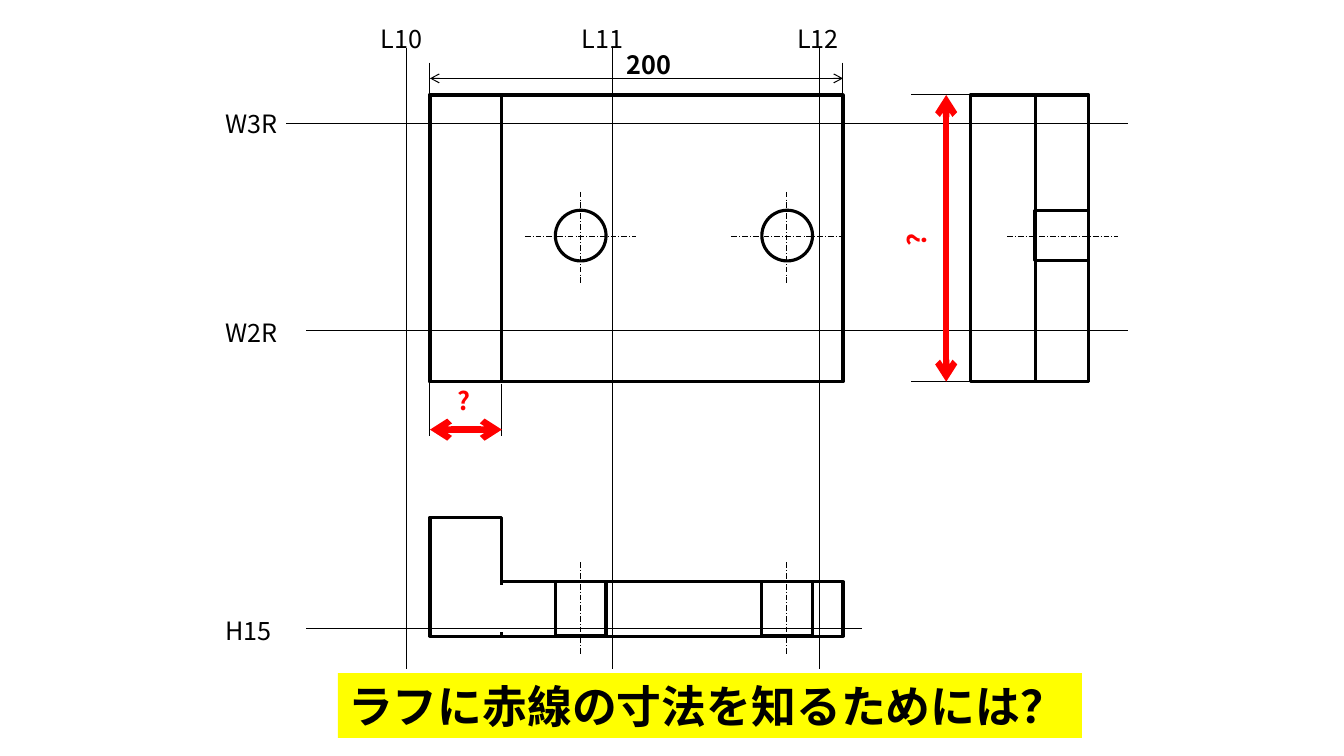
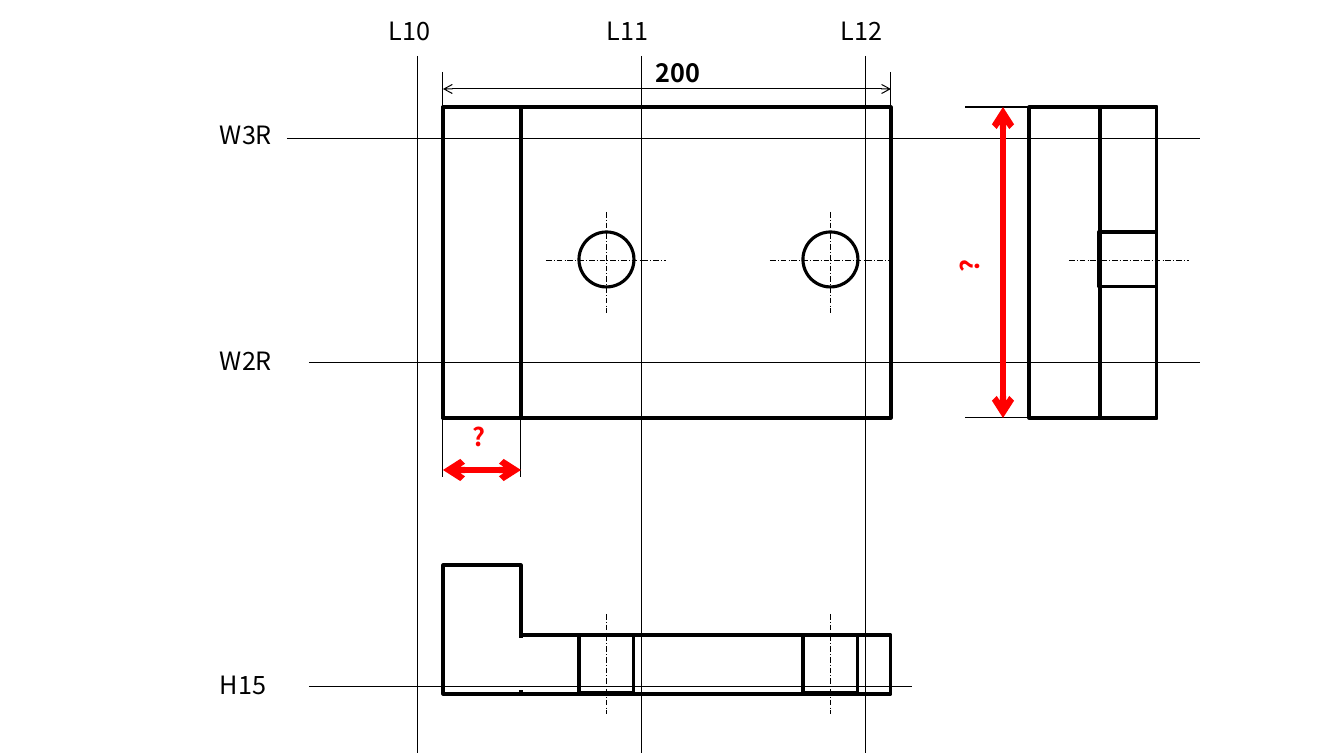
from dataclasses import dataclass
from typing import Any

from lxml.etree import SubElement
from pptx import Presentation
from pptx.dml.color import RGBColor
from pptx.enum.dml import MSO_LINE
from pptx.enum.shapes import MSO_CONNECTOR, MSO_SHAPE
from pptx.enum.text import MSO_ANCHOR, MSO_AUTO_SIZE, PP_ALIGN
from pptx.oxml.ns import qn
from pptx.util import Emu, Pt

BLACK = RGBColor(0x00, 0x00, 0x00)
WHITE = RGBColor(0xFF, 0xFF, 0xFF)
RED = RGBColor(0xFF, 0x00, 0x00)
YELLOW = RGBColor(0xFF, 0xFF, 0x00)

FONT = "Noto Sans CJK JP"
EMU_PER_PIXEL = 914400 / 100.8
SLIDE_WIDTH, SLIDE_HEIGHT = 1344, 756
TITLE_ONLY, BLANK = 5, 6

LABEL = {"size": Pt(18), "bold": False}
DIMENSION = {"size": Pt(18), "bold": True}
HEADING = {"size": Pt(32), "bold": True}
OUTLINE, GRID, EXTENSION, MEASURE = 2.25, 0.5, 0.75, 4.5

# Part geometry, measured from the top left corner of the plan view
PLAN_WIDTH, PLAN_HEIGHT = 448, 311
STEP_WIDTH = 78
FRONT_TOP, FRONT_BOTTOM, BASE_TOP = 458, 587, 528
SIDE_LEFT, SIDE_RIGHT, SIDE_STEP = 586, 714, 657
HOLE_SIZE, HOLE_TOP = 55, 125
HOLE_CENTRES = (163, 387)
HOLE_AXIS = 153
GRID_PITCH = 224


def pixels(value):
    """Turn a length in pixels into EMU."""
    return Emu(round(value * EMU_PER_PIXEL))


def write_text(shape, text, style, color):
    """Put one left-aligned run of text in a shape."""
    frame = shape.text_frame
    frame.word_wrap = False
    paragraph = frame.paragraphs[0]
    paragraph.alignment = PP_ALIGN.LEFT
    run = paragraph.add_run()
    run.text = text
    for name, value in {"name": FONT, **style}.items():
        setattr(run.font, name, value)
    run.font.color.rgb = color
    SubElement(run.font._element, qn("a:ea"), typeface=FONT)


@dataclass
class Drawing:
    """A group of parts, scaled and placed from one corner."""

    shapes: Any
    left: int
    top: int
    scale: float

    def x(self, value):
        """Give the EMU position across the slide."""
        return pixels(self.left + value * self.scale)

    def y(self, value):
        """Give the EMU position down the slide."""
        return pixels(self.top + value * self.scale)

    def outline(self, left, top, right, bottom, preset=MSO_SHAPE.RECTANGLE,
                color=BLACK, width=OUTLINE, fill=None):
        """Draw an outlined shape between two corners."""
        shape = self.shapes.add_shape(
            preset, self.x(left), self.y(top),
            self.x(right) - self.x(left), self.y(bottom) - self.y(top))
        shape.shadow.inherit = False
        if fill is None:
            shape.fill.background()
        else:
            shape.fill.solid()
            shape.fill.fore_color.rgb = fill
        shape.line.color.rgb = color
        shape.line.width = Pt(width)

    def line(self, start, end, width=GRID, color=BLACK, dash=None, arrows=False):
        """Draw a straight line, with arrowheads at both ends if asked."""
        connector = self.shapes.add_connector(
            MSO_CONNECTOR.STRAIGHT, self.x(start[0]), self.y(start[1]),
            self.x(end[0]), self.y(end[1]))
        connector.line.color.rgb = color
        connector.line.width = Pt(width)
        if dash is not None:
            connector.line.dash_style = dash
        if arrows:
            line_element = connector.line._get_or_add_ln()
            for tag in ("a:headEnd", "a:tailEnd"):
                SubElement(line_element, qn(tag), type="arrow")
        SubElement(connector._element.spPr, qn("a:effectLst"))

    def text(self, text, centre, width, height, style, color=BLACK, rotation=0):
        """Place a text box around a centre; its height is not scaled."""
        box_width, box_height = pixels(width * self.scale), pixels(height)
        box = self.shapes.add_textbox(
            self.x(centre[0]) - box_width // 2,
            self.y(centre[1]) - box_height // 2, box_width, box_height)
        write_text(box, text, style, color)
        box.text_frame.auto_size = MSO_AUTO_SIZE.SHAPE_TO_FIT_TEXT
        box.rotation = rotation


def draw_views(drawing):
    """Draw the outlines of the plan, front and side views."""
    drawing.outline(0, 0, PLAN_WIDTH, PLAN_HEIGHT)
    drawing.outline(0, 0, STEP_WIDTH, PLAN_HEIGHT)
    drawing.outline(0, FRONT_TOP, STEP_WIDTH, FRONT_BOTTOM)
    drawing.outline(STEP_WIDTH, BASE_TOP, PLAN_WIDTH, FRONT_BOTTOM)
    drawing.outline(65, 532, 91, 582, color=WHITE, width=1, fill=WHITE)
    drawing.outline(SIDE_LEFT, 0, SIDE_RIGHT, PLAN_HEIGHT)
    drawing.outline(SIDE_STEP, 0, SIDE_RIGHT, PLAN_HEIGHT)


def draw_holes(drawing):
    """Draw the two holes in each view, with their centre lines."""
    hole_bottom = HOLE_TOP + HOLE_SIZE
    for centre in HOLE_CENTRES:
        left = centre - HOLE_SIZE // 2
        right = left + HOLE_SIZE
        drawing.outline(left, HOLE_TOP, right, hole_bottom, MSO_SHAPE.OVAL)
        drawing.outline(left, BASE_TOP, right, FRONT_BOTTOM - 1)
        for top, bottom in ((105, 206), (507, 607)):
            drawing.line((centre, top), (centre, bottom),
                         dash=MSO_LINE.LONG_DASH_DOT)
    drawing.outline(SIDE_STEP - 1, HOLE_TOP, SIDE_RIGHT, hole_bottom)
    for centre in (*HOLE_CENTRES, 686):
        drawing.line((centre - 60, HOLE_AXIS), (centre + 60, HOLE_AXIS),
                     dash=MSO_LINE.LONG_DASH_DOT)


def draw_dimensions(drawing):
    """Draw the known width and the two unknown red dimensions."""
    for x in (0, PLAN_WIDTH):
        drawing.line((x, -35), (x, 0), EXTENSION)
    drawing.line((0, -18), (PLAN_WIDTH, -18), EXTENSION, arrows=True)
    drawing.text("200", (241, -31), 77, 48 * drawing.scale, DIMENSION)

    for x, top in ((0, 293), (STEP_WIDTH, 313)):
        drawing.line((x, top), (x, 370), EXTENSION)
    drawing.line((0, 363), (STEP_WIDTH, 363), MEASURE, RED, arrows=True)

    for y in (0, PLAN_HEIGHT):
        drawing.line((SIDE_LEFT, y), (522, y), EXTENSION)
    drawing.line((560, 0), (560, PLAN_HEIGHT), MEASURE, RED, arrows=True)

    for centre, rotation in (((40, 333), 0), ((530, 155), 270)):
        drawing.text("?", centre, 41, 48 * drawing.scale, DIMENSION, RED, rotation)


def draw_grid(drawing, grid_bottom, label_axis, label_height):
    """Draw the reference lines and their labels."""
    bottom = (grid_bottom - drawing.top) / drawing.scale
    label_y = (label_axis - drawing.top) / drawing.scale
    columns = (("L10", -27), ("L11", 191), ("L12", 425))
    for index, (name, label_x) in enumerate(columns):
        x = -26 + index * GRID_PITCH
        drawing.line((x, -51), (x, bottom))
        drawing.text(name, (label_x, label_y), 75, label_height, LABEL)

    rows = (("W3R", 31, -156, 757, 31, 89),
            ("W2R", 255, -134, 757, 257, 89),
            ("H15", 579, -134, 469, 581, 80))
    for name, y, start, end, label_row, width in rows:
        drawing.line((start, y), (end, y))
        drawing.text(name, (-233 + width / 2, label_row), width, label_height, LABEL)


def add_drawing(slide, left, top, width, grid_bottom, label_axis, label_height):
    """Add the three-view drawing, its plan view at the given place and width."""
    group = slide.shapes.add_group_shape()
    drawing = Drawing(group.shapes, left, top, width / PLAN_WIDTH)
    draw_views(drawing)
    draw_grid(drawing, grid_bottom, label_axis, label_height)
    draw_holes(drawing)
    draw_dimensions(drawing)


def format_heading(slide, text, left, top, width, height):
    """Turn the title placeholder into a yellow band."""
    title = slide.shapes.title
    box = {"left": left, "top": top, "width": width, "height": height}
    for name, value in box.items():
        setattr(title, name, pixels(value))
    title.fill.solid()
    title.fill.fore_color.rgb = YELLOW
    write_text(title, text, HEADING, BLACK)
    title.text_frame.auto_size = MSO_AUTO_SIZE.NONE
    title.text_frame.vertical_anchor = MSO_ANCHOR.MIDDLE


def build():
    """Build both slides and save the presentation."""
    presentation = Presentation()
    presentation.slide_width = pixels(SLIDE_WIDTH)
    presentation.slide_height = pixels(SLIDE_HEIGHT)
    layouts = presentation.slide_layouts

    question = presentation.slides.add_slide(layouts[TITLE_ONLY])
    format_heading(question, "ラフに赤線の寸法を知るためには？", 338, 673, 744, 65)
    add_drawing(question, 430, 95, 413, grid_bottom=669, label_axis=38, label_height=40)

    enlarged = presentation.slides.add_slide(layouts[BLANK])
    add_drawing(enlarged, 443, 107, 448, grid_bottom=753, label_axis=34, label_height=48)

    presentation.save("out.pptx")


build()
